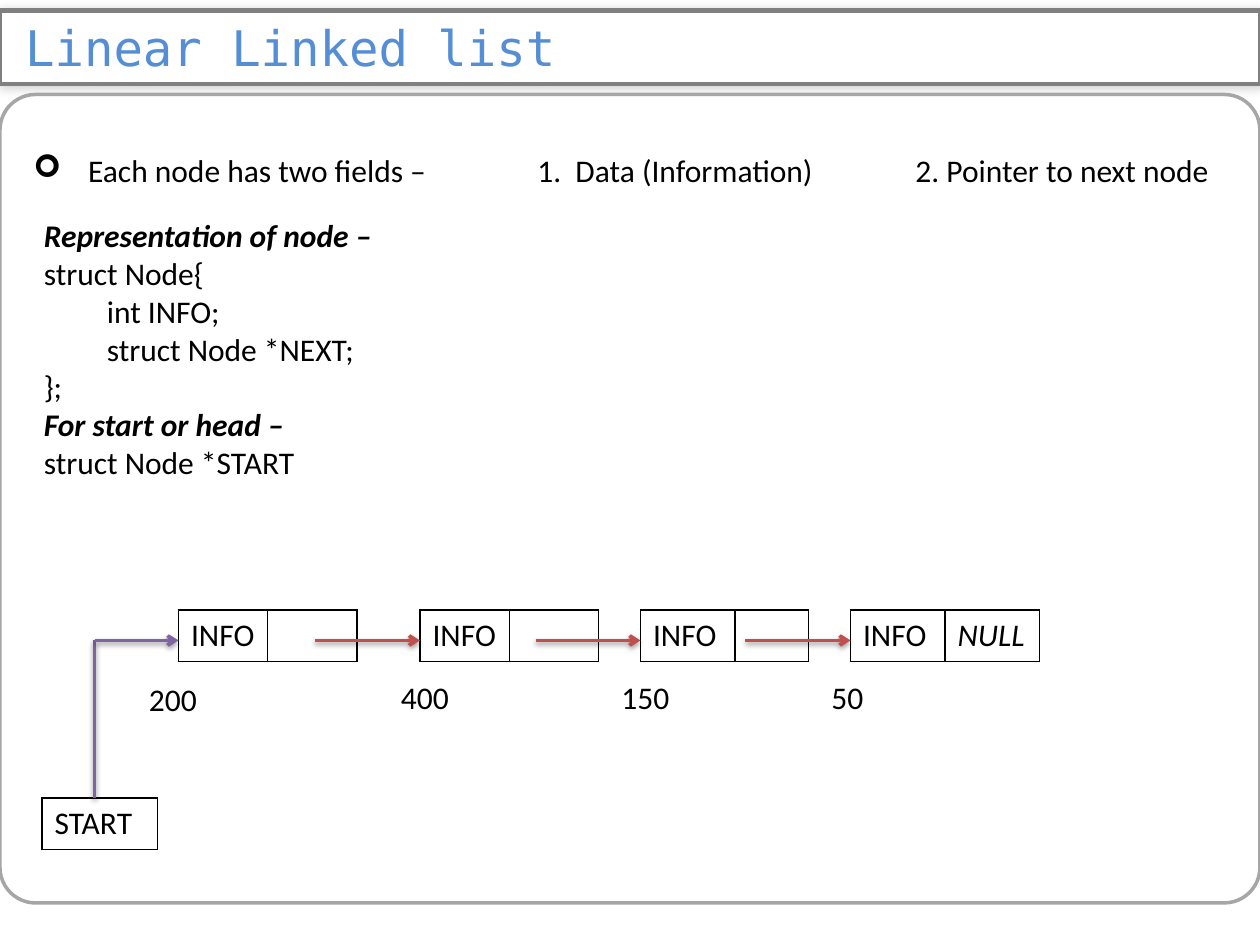
from lxml.etree import SubElement
from pptx import Presentation
from pptx.dml.color import RGBColor
from pptx.enum.shapes import MSO_CONNECTOR as Connector, MSO_SHAPE as Shape
from pptx.enum.text import MSO_ANCHOR as Anchor, MSO_AUTO_SIZE as AutoSize, PP_ALIGN as Align
from pptx.oxml.ns import qn
from pptx.util import Pt

SCALE = 7620  # EMU in one px, 120 px to the inch
COLORS = {
    "black": "000000", "white": "FFFFFF", "title": "558ED5", "title_line": "808080",
    "panel_line": "A6A6A6", "link": "C0504D", "start": "8064A2",
}
BODY = {"name": "Calibri", "size": Pt(18)}
HEADING = {**BODY, "bold": True, "italic": True}
TITLE = {"name": "DejaVu Sans Mono", "size": Pt(28), "bold": False}
ROW_HEIGHT = 49
ARROW_LENGTH = 100


def px(*lengths):
    return [length * SCALE for length in lengths]


def rgb(name):
    return RGBColor.from_string(COLORS[name])


def add_xml(parent, tag, **attributes):
    return SubElement(parent, qn(tag), {key: str(value) for key, value in attributes.items()})


def set_line(shape, color, width):
    shape.line.color.rgb = rgb(color)
    shape.line.width = Pt(width)


def add_shadow(shape, opacity, blur, distance, angle):
    effects = add_xml(shape._element.spPr, "a:effectLst")
    shadow = add_xml(effects, "a:outerShdw", blurRad=Pt(blur), dist=Pt(distance),
                     dir=angle * 60000, algn="ctr", rotWithShape=0)
    color = add_xml(shadow, "a:srgbClr", val=COLORS["black"])
    add_xml(color, "a:alpha", val=opacity * 1000)


def add_run(paragraph, text, formats=BODY, color="black"):
    run = paragraph.add_run()
    run.text = text
    run.font.color.rgb = rgb(color)
    for name, value in formats.items():
        setattr(run.font, name, value)


def add_text(slide, box, lines):
    """Add a text box with one paragraph for each (text, formats) pair."""
    frame = slide.shapes.add_textbox(*px(*box)).text_frame
    frame.word_wrap = True
    for index, (text, formats) in enumerate(lines):
        paragraph = frame.add_paragraph() if index else frame.paragraphs[0]
        add_run(paragraph, text, formats)
    return frame


def add_cells(slide, left, top, widths, texts):
    """Add a one-row bordered table with (text, formats) cells."""
    table = slide.shapes.add_table(
        1, len(widths), *px(left, top, sum(widths), ROW_HEIGHT)).table
    table.first_row = table.horz_banding = False
    for index, (width, (text, formats)) in enumerate(zip(widths, texts)):
        table.columns[index].width = width * SCALE
        cell = table.cell(0, index)
        properties = cell._tc.get_or_add_tcPr()
        for side in ("a:lnL", "a:lnR", "a:lnT", "a:lnB"):
            border = add_xml(properties, side, w=Pt(1))
            add_xml(add_xml(border, "a:solidFill"), "a:srgbClr", val=COLORS["black"])
        cell.fill.background()
        if text:
            add_run(cell.text_frame.paragraphs[0], text, formats)


def add_line(slide, start, end, color, arrow=True):
    line = slide.shapes.add_connector(Connector.STRAIGHT, *px(*start, *end))
    set_line(line, color, 2)
    if arrow:
        add_xml(line.line._get_or_add_ln(), "a:tailEnd", type="arrow")
    add_shadow(line, 38, 3.1, 1.6, 90)


def add_title(slide, box, text):
    title = slide.shapes.title
    title.left, title.top, title.width, title.height = px(*box)
    geometry = add_xml(title._element.spPr, "a:prstGeom", prst="roundRect")
    add_xml(add_xml(geometry, "a:avLst"), "a:gd", name="adj", fmla="val 40900")
    title.fill.solid()
    title.fill.fore_color.rgb = rgb("white")
    set_line(title, "title_line", 2.5)
    add_shadow(title, 20, 6, 1, 45)
    frame = title.text_frame
    formats = {
        "auto_size": AutoSize.NONE, "vertical_anchor": Anchor.MIDDLE, "word_wrap": True,
        "margin_left": 24 * SCALE, "margin_right": 12 * SCALE,
        "margin_top": 0, "margin_bottom": 0,
    }
    for name, value in formats.items():
        setattr(frame, name, value)
    frame.paragraphs[0].alignment = Align.LEFT
    add_run(frame.paragraphs[0], text, TITLE, "title")


def add_panel(slide, box):
    panel = slide.shapes.add_shape(Shape.ROUNDED_RECTANGLE, *px(*box))
    panel.adjustments[0] = 0.044
    panel.fill.background()
    panel.shadow.inherit = False
    set_line(panel, "panel_line", 2)


def add_fields(slide, box):
    text = "\tEach node has two fields –\t1.  Data (Information)\t2. Pointer to next node"
    paragraph = add_text(slide, box, [(text, BODY)]).paragraphs[0]
    paragraph.line_spacing = 1.5
    properties = paragraph._p.get_or_add_pPr()
    properties.set("marL", "0")
    properties.set("indent", "0")
    add_xml(properties, "a:buFont", typeface="Wingdings")
    add_xml(properties, "a:buChar", char="➢")
    tabs = add_xml(properties, "a:tabLst")
    for position in px(52, 480, 840):
        add_xml(tabs, "a:tab", pos=position, algn="l")


def add_code(slide, box):
    add_text(slide, box, [
        ("Representation of node –", HEADING),
        ("struct Node{", BODY),
        ("\tint INFO;", BODY),
        ("\tstruct Node *NEXT;", BODY),
        ("};", BODY),
        ("For start or head –", HEADING),
        ("struct Node *START", BODY),
    ])


def add_linked_list(slide, left, top):
    """Draw the nodes with their addresses, the links and the START pointer."""
    nodes = [  # offset, cell widths, address, address offset
        (130, (85, 85), "200", (-40, 61)),
        (360, (85, 85), "400", (-30, 59)),
        (570, (90, 70), "150", (-30, 59)),
        (770, (90, 90), "50", (-30, 59)),
    ]
    arrow_y = top + 29
    for index, (offset, widths, address, (shift_x, shift_y)) in enumerate(nodes):
        x = left + offset
        pointer = "NULL" if index == len(nodes) - 1 else ""
        add_cells(slide, x, top, widths,
                  [("INFO", BODY), (pointer, {**BODY, "italic": True})])
        add_text(slide, (x + shift_x, top + shift_y, 100, 48), [(address, BODY)])
    for offset, *_ in nodes[1:]:
        end = left + offset
        add_line(slide, (end - ARROW_LENGTH, arrow_y), (end, arrow_y), "link")

    start_y = top + 179
    add_cells(slide, left, start_y, (110,), [("START", BODY)])
    corner = (left + 50, arrow_y)
    add_line(slide, (left + 50, start_y), corner, "start", arrow=False)
    add_line(slide, corner, (left + nodes[0][0], arrow_y), "start")


def main():
    presentation = Presentation()
    presentation.slide_width, presentation.slide_height = px(1200, 900)
    slide = presentation.slides.add_slide(presentation.slide_layouts.get_by_name("Title Only"))
    add_title(slide, (0, 10, 1200, 70), "Linear Linked list")
    add_panel(slide, (0, 90, 1200, 770))
    add_fields(slide, (20, 120, 1160, 103))
    add_linked_list(slide, 40, 581)
    add_code(slide, (30, 200, 1080, 266))
    presentation.save("out.pptx")


if __name__ == "__main__":
    main()
